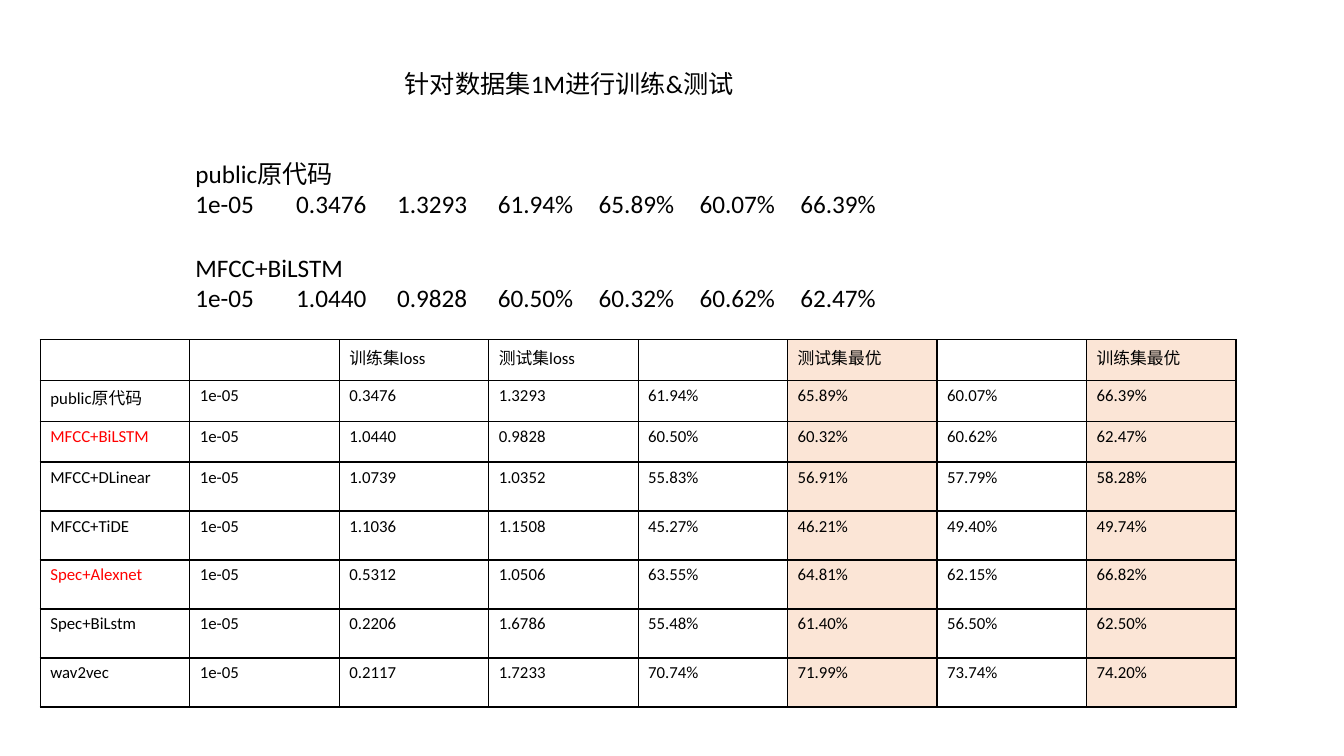
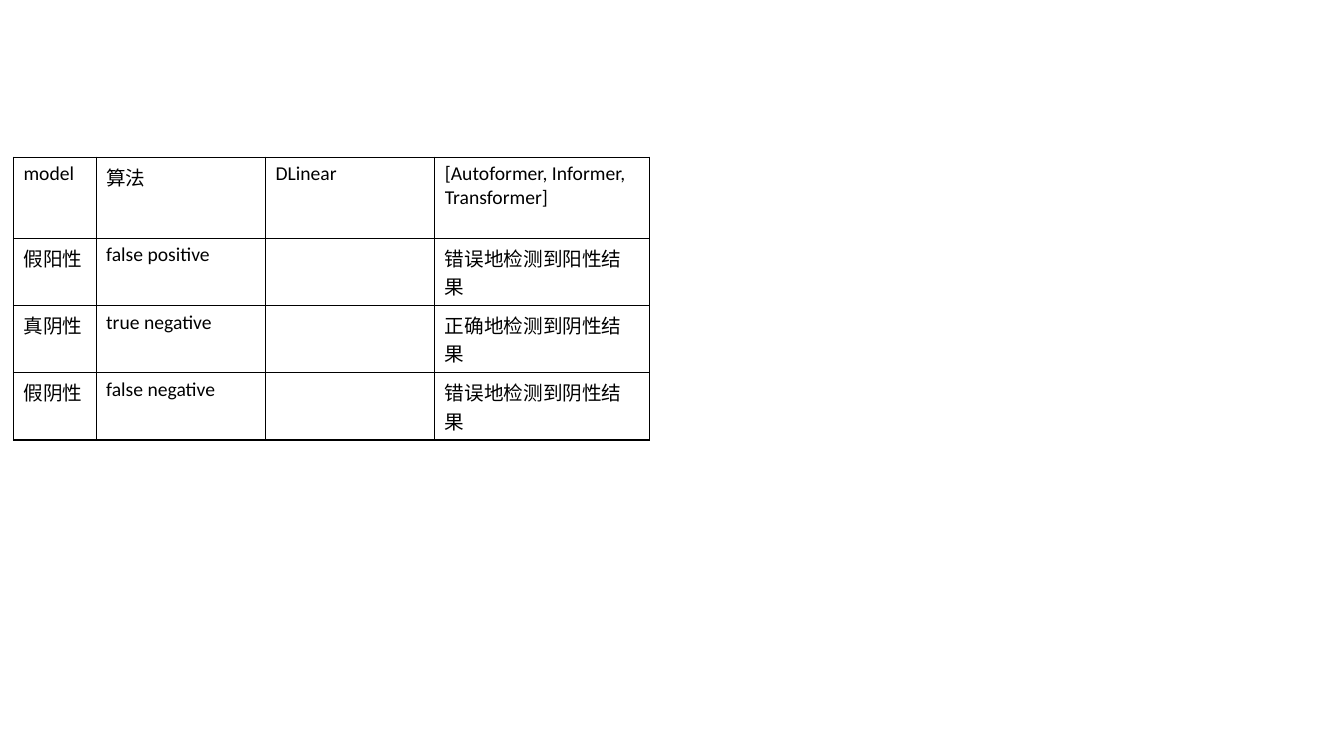
from lxml.etree import SubElement
from pptx import Presentation
from pptx.dml.color import RGBColor
from pptx.enum.text import MSO_AUTO_SIZE, PP_ALIGN
from pptx.oxml.ns import qn
from pptx.util import Inches, Pt

# Shared style; positions and sizes are percentages of the slide
FONT = "Calibri"
BLACK, RED, PEACH = "000000", "FF0000", "FBE5D6"
BLANK_LAYOUT = 6

deck = Presentation()
deck.slide_width, deck.slide_height = Inches(13.33), Inches(7.5)
column_unit, row_unit = deck.slide_width / 100, deck.slide_height / 100


def style(paragraph, size, color=BLACK):
    paragraph.font.name = FONT
    paragraph.font.size = Pt(size)
    paragraph.font.color.rgb = RGBColor.from_string(color)


def add_grid(page, left, top, widths, heights, rows, size, shaded=(), marked=()):
    """Add a black-ruled table with shaded columns and red row labels."""
    table = page.shapes.add_table(
        len(heights), len(widths),
        int(left * column_unit), int(top * row_unit),
        int(sum(widths) * column_unit), int(sum(heights) * row_unit)).table
    table.first_row = table.horz_banding = False
    for column, width in zip(table.columns, widths):
        column.width = int(width * column_unit)
    for row, height in zip(table.rows, heights):
        row.height = int(height * row_unit)
    for row_index, texts in enumerate(rows):
        for column_index, text in enumerate(texts):
            cell = table.cell(row_index, column_index)
            cell.text = text
            style(cell.text_frame.paragraphs[0], size, RED if text in marked else BLACK)
            properties = cell._tc.get_or_add_tcPr()
            for side in ("a:lnL", "a:lnR", "a:lnT", "a:lnB"):
                line = SubElement(properties, qn(side), w=str(Pt(1)))
                SubElement(SubElement(line, qn("a:solidFill")), qn("a:srgbClr"), val=BLACK)
            if column_index in shaded:
                cell.fill.solid()
                cell.fill.fore_color.rgb = RGBColor.from_string(PEACH)
            else:
                cell.fill.background()


# Slide 1: training and test results
header = ["", "", "训练集loss", "测试集loss", "", "测试集最优", "", "训练集最优"]
results = [line.split() for line in (
    "public原代码 1e-05 0.3476 1.3293 61.94% 65.89% 60.07% 66.39%",
    "MFCC+BiLSTM 1e-05 1.0440 0.9828 60.50% 60.32% 60.62% 62.47%",
    "MFCC+DLinear 1e-05 1.0739 1.0352 55.83% 56.91% 57.79% 58.28%",
    "MFCC+TiDE 1e-05 1.1036 1.1508 45.27% 46.21% 49.40% 49.74%",
    "Spec+Alexnet 1e-05 0.5312 1.0506 63.55% 64.81% 62.15% 66.82%",
    "Spec+BiLstm 1e-05 0.2206 1.6786 55.48% 61.40% 56.50% 62.50%",
    "wav2vec 1e-05 0.2117 1.7233 70.74% 71.99% 73.74% 74.20%",
)]
page = deck.slides.add_slide(deck.slide_layouts[BLANK_LAYOUT])

# Title and the two highlighted results, whose values sit on one-inch tabs
title = ["针对数据集1M进行训练&测试"]
summaries = [[name, "\t".join(values)] for name, *values in results[:2]]
for left, top, width, height, lines, alignment in (
        (27.08, 8.4, 30.53, 5.33, title, PP_ALIGN.CENTER),
        (13.8, 20.27, 72.47, 9.47, summaries[0], PP_ALIGN.LEFT),
        (13.8, 32.67, 72.47, 9.47, summaries[1], PP_ALIGN.LEFT)):
    box = page.shapes.add_textbox(
        int(left * column_unit), int(top * row_unit),
        int(width * column_unit), int(height * row_unit))
    frame = box.text_frame
    frame.word_wrap = True
    frame.auto_size = MSO_AUTO_SIZE.SHAPE_TO_FIT_TEXT
    frame.text = "\n".join(lines)
    for paragraph in frame.paragraphs:
        paragraph.alignment = alignment
        if "\t" in paragraph.text:
            tabs = SubElement(paragraph._p.get_or_add_pPr(), qn("a:tabLst"))
            for stop in range(1, 7):
                SubElement(tabs, qn("a:tab"), pos=str(Inches(stop)), algn="l")
        style(paragraph, 18)

add_grid(page, 3, 44.93, [11.12] * 8, [5.4] * 3 + [6.48] * 5,
         [header] + results, 12, shaded=(5, 7), marked=("MFCC+BiLSTM", "Spec+Alexnet"))

# Slide 2: models and detection outcomes; rows hold two lines of text
outcomes = [
    ["model", "算法", "DLinear", "[Autoformer, Informer, Transformer]"],
    ["假阳性", "false positive", "", "错误地检测到阳性结果"],
    ["真阴性", "true negative", "", "正确地检测到阴性结果"],
    ["假阴性", "false negative", "", "错误地检测到阴性结果"],
]
page = deck.slides.add_slide(deck.slide_layouts[BLANK_LAYOUT])
add_grid(page, 1, 20.8, [6.15, 12.6, 12.6, 15.98], [10.7] + [8.9] * 3, outcomes, 14)

deck.save("out.pptx")
